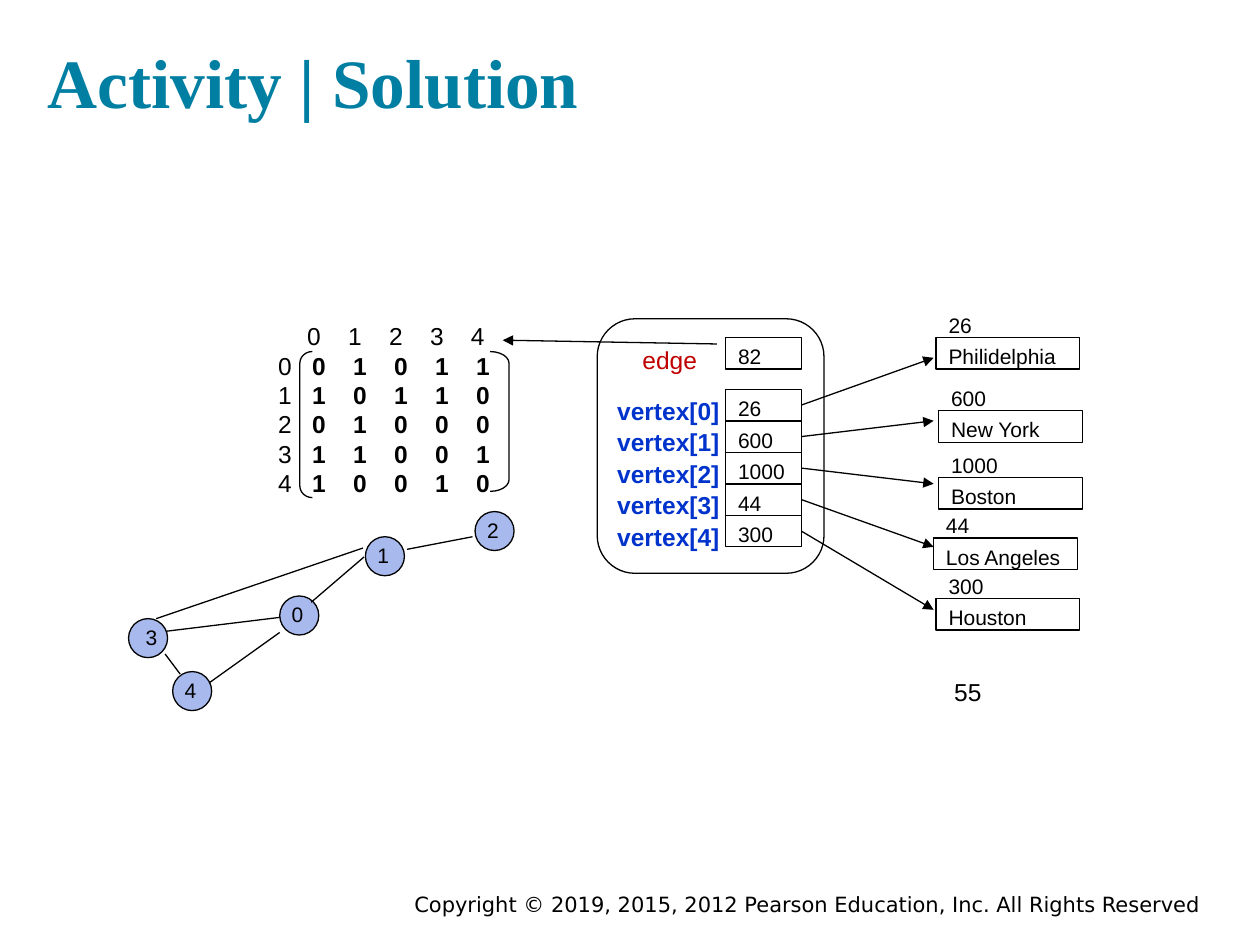
from typing import NamedTuple

from lxml.etree import SubElement
from pptx import Presentation
from pptx.dml.color import RGBColor
from pptx.enum.shapes import MSO_CONNECTOR, MSO_SHAPE
from pptx.enum.text import MSO_ANCHOR, PP_ALIGN
from pptx.oxml.ns import qn
from pptx.util import Inches, Pt

BLACK, WHITE, BLUE, RED, TEAL = "000000", "FFFFFF", "0033CC", "C00000", "007FA3"
ROW_HEIGHT = 0.25
CELL_LEFT, CELL_WIDTH = 5.76, 0.6
NODE_SIZE = 0.31


class City(NamedTuple):
    address: str
    name: str
    left: float
    top: float
    arrow_end: tuple[float, float]


class Node(NamedTuple):
    label: str
    left: float
    top: float
    indent: float = 0.05


CITIES = [
    City("26", "Philidelphia", 7.43, 2.68, (7.41, 2.84)),
    City("600", "New York", 7.45, 3.26, (7.41, 3.34)),
    City("1000", "Boston", 7.45, 3.79, (7.41, 3.84)),
    City("44", "Los Angeles", 7.41, 4.27, (7.41, 4.34)),
    City("300", "Houston", 7.43, 4.75, (7.41, 4.84)),
]
NODES = [
    Node("1", 2.9, 4.26),
    Node("4", 1.37, 5.33),
    Node("0", 2.22, 4.73),
    Node("2", 3.77, 4.06),
    Node("3", 1.02, 4.91, 0.09),
]
EDGES = [
    ((2.88, 4.35), (1.24, 4.91)),
    ((3.23, 4.36), (3.75, 4.26)),
    ((1.32, 5.01), (2.22, 4.9)),
    ((2.22, 5.02), (1.66, 5.42)),
    ((2.89, 4.42), (2.47, 4.78)),
    ((1.43, 5.35), (1.31, 5.19)),
]
MATRIX = ["01011", "10110", "01000", "11001", "10010"]


def color(value: str) -> RGBColor:
    return RGBColor.from_string(value)


def style_font(font, size: float, hue: str, bold: bool, name: str = "Arial") -> None:
    font.name, font.size, font.bold = name, Pt(size), bold
    font.color.rgb = color(hue)


def set_margins(frame, side: float, top: float) -> None:
    frame.margin_left = frame.margin_right = Inches(side)
    frame.margin_top = frame.margin_bottom = Inches(top)


def add_text(page, text: str, left: float, top: float, width: float, height: float,
             size: float = 12, hue: str = BLACK, bold: bool = False,
             name: str = "Arial", align=PP_ALIGN.LEFT, anchor=MSO_ANCHOR.TOP,
             margins: tuple[float, float] = (0.1, 0.05)):
    box = page.shapes.add_textbox(Inches(left), Inches(top), Inches(width), Inches(height))
    frame = box.text_frame
    frame.word_wrap = True
    frame.vertical_anchor = anchor
    set_margins(frame, *margins)
    para = frame.paragraphs[0]
    para.text, para.alignment = text, align
    style_font(para.font, size, hue, bold, name)
    return box


def add_outline(page, kind, left: float, top: float, width: float, height: float,
                fill: str | None = None):
    shape = page.shapes.add_shape(kind, Inches(left), Inches(top), Inches(width), Inches(height))
    shape.shadow.inherit = False
    shape.line.color.rgb = color(BLACK)
    shape.line.width = Pt(0.75)
    if fill:
        shape.fill.solid()
        shape.fill.fore_color.rgb = color(fill)
    else:
        shape.fill.background()
    return shape


def label_shape(shape, text: str) -> None:
    frame = shape.text_frame
    frame.word_wrap = True
    frame.vertical_anchor = MSO_ANCHOR.TOP
    para = frame.paragraphs[0]
    para.text, para.alignment = text, PP_ALIGN.LEFT
    style_font(para.font, 12, BLACK, False)


def add_cell(page, text: str, left: float, top: float, width: float):
    cell = add_outline(page, MSO_SHAPE.RECTANGLE, left, top, width, ROW_HEIGHT, WHITE)
    label_shape(cell, text)
    return cell


def add_line(page, start: tuple[float, float], end: tuple[float, float], arrow: bool = False):
    line = page.shapes.add_connector(
        MSO_CONNECTOR.STRAIGHT, *(Inches(value) for value in (*start, *end)))
    line.line.color.rgb = color(BLACK)
    line.line.width = Pt(0.75)
    if arrow:
        SubElement(line.line._get_or_add_ln(), qn("a:tailEnd"), type="triangle")
    SubElement(line._element.spPr, qn("a:effectLst"))
    return line


def add_node(page, node: Node) -> None:
    circle = add_outline(page, MSO_SHAPE.OVAL, node.left, node.top, NODE_SIZE, NODE_SIZE, BLUE)
    fill = circle._element.spPr.find(qn("a:solidFill"))
    SubElement(fill[0], qn("a:alpha"), val="34000")
    set_margins(circle.text_frame, 0, 0)
    circle.text_frame.margin_left = Inches(node.indent)
    label_shape(circle, node.label)


def set_tabs(para, first: float, step: float, count: int) -> None:
    tabs = SubElement(para._p.get_or_add_pPr(), qn("a:tabLst"))
    for index in range(count):
        SubElement(tabs, qn("a:tab"), pos=str(Inches(first + index * step)), algn="l")


def add_matrix(page) -> None:
    """Write the adjacency matrix with its row and column numbers on tab stops."""
    count = len(MATRIX)
    frame = add_text(page, "", 2.11, 2.5, 2.1, 1.38).text_frame
    header = "".join(str(index) for index in range(count))
    for index, digits in enumerate([header, *MATRIX]):
        is_header = index == 0
        para = frame.paragraphs[0] if is_header else frame.add_paragraph()
        set_tabs(para, 0.23 if is_header else 0.27, 0.325, count)
        style_font(para.font, 14, BLACK, False)
        if not is_header:
            para.add_run().text = str(index - 1)
        span = para.add_run()
        span.text = "".join(f"\t{digit}" for digit in digits)
        span.font.bold = not is_header
    left_bracket = add_outline(page, MSO_SHAPE.LEFT_BRACKET, 2.38, 2.79, 0.1, 1.16)
    left_bracket.adjustments[0] = 0.93
    right_bracket = add_outline(page, MSO_SHAPE.RIGHT_BRACKET, 3.89, 2.79, 0.15, 1.11)
    right_bracket.adjustments[0] = 0.62


def add_graph_object(page) -> None:
    """Draw the graph record, whose vertex cells point to the cities."""
    add_outline(page, MSO_SHAPE.ROUNDED_RECTANGLE, 4.74, 2.53, 1.8, 2.02)
    add_text(page, "edge", 5, 2.69, 0.75, ROW_HEIGHT, 14, RED)
    add_cell(page, "82", CELL_LEFT, 2.68, CELL_WIDTH)
    add_line(page, (5.69, 2.73), (3.99, 2.7), arrow=True)
    for index, city in enumerate(CITIES):
        top = 3.09 + index * ROW_HEIGHT
        add_text(page, f"vertex[{index}]", 4.8, top, 1.07, ROW_HEIGHT, 14, BLUE, True)
        cell = add_cell(page, city.address, CELL_LEFT, top, CELL_WIDTH)
        start = (CELL_LEFT + CELL_WIDTH, top + ROW_HEIGHT / 2)
        add_line(page, start, city.arrow_end, arrow=True).begin_connect(cell, 3)
        add_text(page, city.address, city.left, city.top - ROW_HEIGHT, 0.6, ROW_HEIGHT)
        add_cell(page, city.name, city.left, city.top, 1.14)


def main() -> None:
    deck = Presentation()
    deck.slide_width, deck.slide_height = Inches(10), Inches(7.5)
    page = deck.slides.add_slide(deck.slide_layouts[6])
    add_text(page, "Activity | Solution", 0.28, 0.18, 9.31, 0.89, 39.6, TEAL, True,
             "Times New Roman", anchor=MSO_ANCHOR.BOTTOM, margins=(0.1, 0.1))
    add_matrix(page)
    add_graph_object(page)
    for node in NODES:
        add_node(page, node)
    for start, end in EDGES:
        add_line(page, start, end)
    add_text(page, "55", 5.51, 5.29, 2.33, 0.4, 14, align=PP_ALIGN.RIGHT,
             anchor=MSO_ANCHOR.MIDDLE, margins=(0.05, 0.05))
    add_text(page, "Copyright © 2019, 2015, 2012 Pearson Education, Inc. All Rights Reserved",
             1.75, 7.03, 7.83, 0.31, name="DejaVu Sans", align=PP_ALIGN.RIGHT,
             margins=(0.05, 0.05))
    deck.save("out.pptx")


if __name__ == "__main__":
    main()
